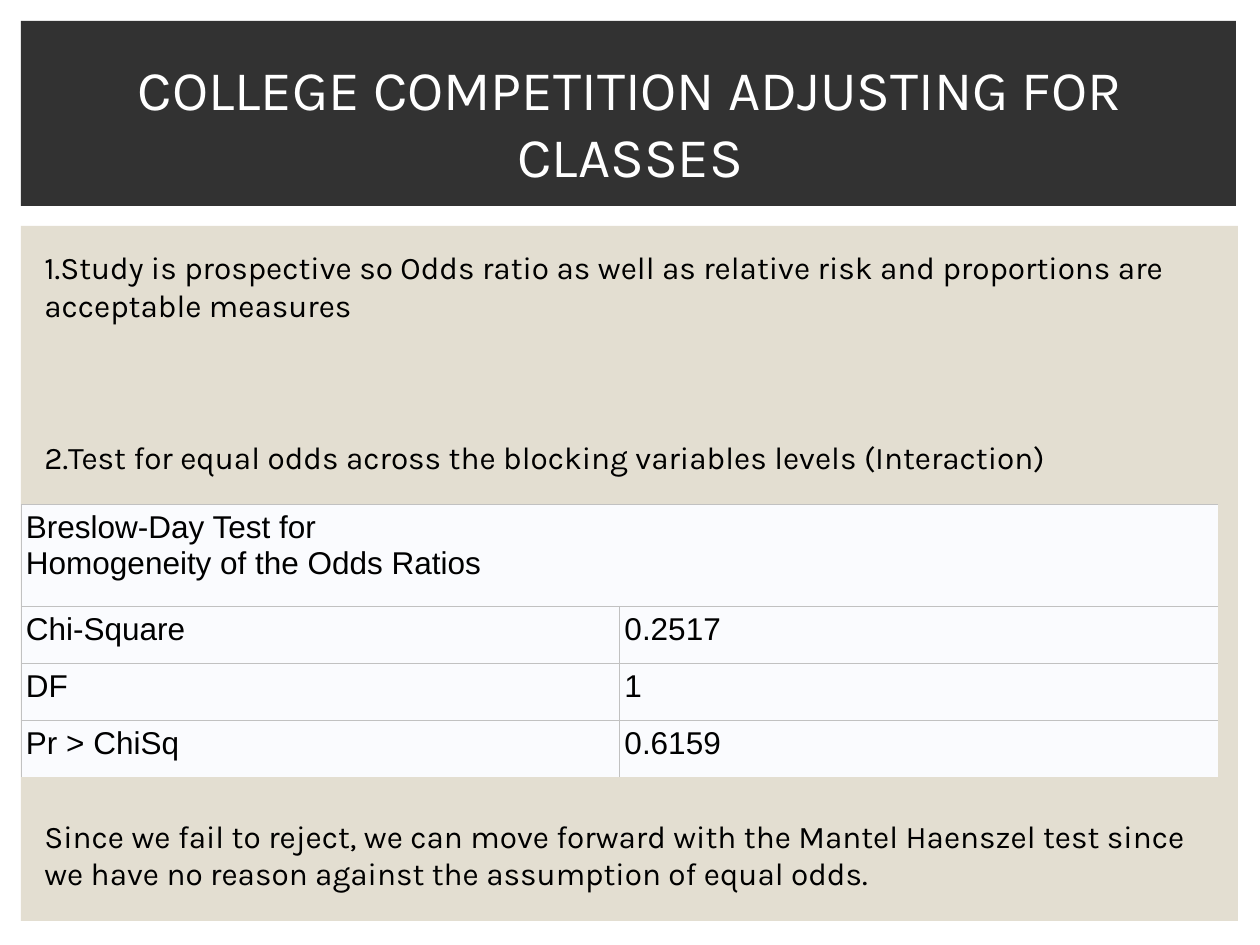
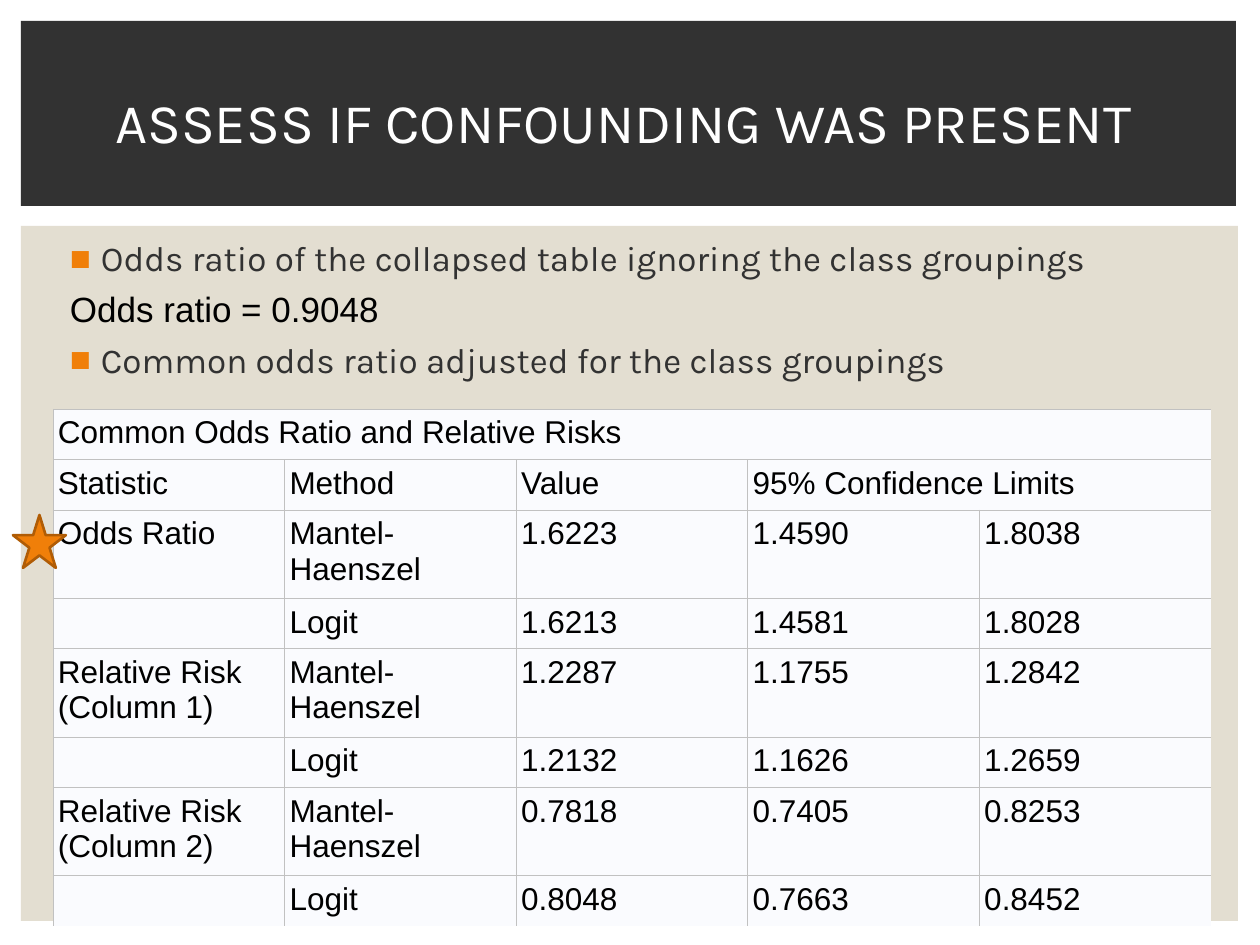
from lxml import etree
from pptx import Presentation
from pptx.dml.color import RGBColor
from pptx.enum.shapes import MSO_SHAPE
from pptx.enum.text import MSO_ANCHOR, PP_ALIGN
from pptx.oxml.ns import qn
from pptx.util import Inches, Pt

PX = 914400 / 126
RECTANGLE = MSO_SHAPE.RECTANGLE
STAR = MSO_SHAPE.STAR_5_POINT
MIDDLE = MSO_ANCHOR.MIDDLE
LEFT = PP_ALIGN.LEFT
CENTER = PP_ALIGN.CENTER

WHITE = RGBColor(0xFF, 0xFF, 0xFF)
BLACK = RGBColor(0x00, 0x00, 0x00)
CHARCOAL = RGBColor(0x32, 0x32, 0x32)
SAND = RGBColor(0xE3, 0xDE, 0xD1)
ORANGE = RGBColor(0xF0, 0x7F, 0x09)
BROWN = RGBColor(0xB0, 0x5C, 0x05)
CELL_FILL = RGBColor(0xFA, 0xFB, 0xFE)
CELL_LINE = RGBColor(0xC1, 0xC1, 0xC1)


def write(frame, text, size=18, font="Karla", color=BLACK, align=LEFT,
          before=0, margin=0, indent=0, bullet=None, start=None):
    para = frame.paragraphs[0]
    if para.runs:
        para = frame.add_paragraph()
    para.alignment = align
    para.space_before = Pt(before)
    props = para._p.get_or_add_pPr()
    props.set("marL", str(round(margin * PX)))
    props.set("indent", str(round(indent * PX)))
    if bullet:
        tint = etree.SubElement(props, qn("a:buClr"))
        etree.SubElement(tint, qn("a:srgbClr"), val=str(ORANGE))
        etree.SubElement(props, qn("a:buFont"), typeface="Arial")
        etree.SubElement(props, qn("a:buChar"), char=bullet)
    elif start:
        etree.SubElement(props, qn("a:buAutoNum"), type="arabicPeriod", startAt=str(start))
    else:
        etree.SubElement(props, qn("a:buNone"))
    for number, line in enumerate(text.splitlines()):
        if number:
            para.add_line_break()
        span = para.add_run()
        span.text = line
        span.font.size = Pt(size)
        span.font.name = font
        span.font.color.rgb = color


def add_grid(page, left, top, width, heights, rows, merges):
    columns = len(rows[0])
    table = page.shapes.add_table(
        len(rows), columns, round(left * PX), round(top * PX),
        round(width * PX), round(sum(heights) * PX)).table
    table.first_row = False
    table.horz_banding = False
    for column in table.columns:
        column.width = round(width * PX / columns)
    for row, height in zip(table.rows, heights):
        row.height = round(height * PX)
    for r, first, last in merges:
        table.cell(r, first).merge(table.cell(r, last))
    for r, texts in enumerate(rows):
        for c, text in enumerate(texts):
            cell = table.cell(r, c)
            cell.margin_left = cell.margin_right = Inches(0.04)
            cell.margin_top = cell.margin_bottom = Inches(0.05)
            cell.fill.solid()
            cell.fill.fore_color.rgb = CELL_FILL
            write(cell.text_frame, text, font="Arial")
            if not text:
                cell.text_frame.paragraphs[0].font.size = Pt(18)
            reach = cell.span_width if cell.is_merge_origin else 1
            drawn = {"a:lnL": True, "a:lnR": c + reach < columns,
                     "a:lnT": True, "a:lnB": r + 1 < len(rows)}
            props = cell._tc.get_or_add_tcPr()
            for position, (side, visible) in enumerate(drawn.items()):
                edge = etree.Element(qn(side), w="3600")
                if visible:
                    paint = etree.SubElement(edge, qn("a:solidFill"))
                    etree.SubElement(paint, qn("a:srgbClr"), val=str(CELL_LINE))
                else:
                    etree.SubElement(edge, qn("a:noFill"))
                props.insert(position, edge)


deck = Presentation()
deck.slide_width = Inches(10)
deck.slide_height = Inches(7.5)

BANDS = [((21, 226, 1217, 695), SAND), ((21, 21, 1215, 185), CHARCOAL)]
TITLES = ["COLLEGE COMPETITION ADJUSTING FOR CLASSES", "ASSESS IF CONFOUNDING WAS PRESENT "]
pages = []
for title in TITLES:
    page = deck.slides.add_slide(deck.slide_layouts[6])
    for area, color in BANDS:
        band = page.shapes.add_shape(RECTANGLE, *[round(n * PX) for n in area])
        band.shadow.inherit = False
        band.fill.solid()
        band.fill.fore_color.rgb = color
        band.line.fill.background()
    title_box = page.shapes.add_textbox(*[round(n * PX) for n in (53, 49, 1155, 145)])
    title_box.text_frame.word_wrap = True
    title_box.text_frame.vertical_anchor = MIDDLE
    write(title_box.text_frame, title, size=32, color=WHITE, align=CENTER)
    pages.append(page)

homogeneity_page, confounding_page = pages

BRESLOW_DAY = [
    ["""Breslow-Day Test for
Homogeneity of the Odds Ratios""", ""],
    ["Chi-Square", "0.2517"],
    ["DF", "1"],
    ["Pr > ChiSq", "0.6159"],
]
add_grid(homogeneity_page, 21, 504, 1197, [102, 57, 57, 57], BRESLOW_DAY, [(0, 0, 1)])

steps_box = homogeneity_page.shapes.add_textbox(*[round(n * PX) for n in (32, 242, 1197, 700)])
steps = steps_box.text_frame
steps.word_wrap = True
write(steps, "1.Study is prospective so Odds ratio as well as relative risk and "
             "proportions are acceptable measures")
write(steps, "Test for equal odds across the blocking variables levels (Interaction)",
      before=65, start=2)
write(steps, "Since we fail to reject, we can move forward with the Mantel Haenszel test "
             "since we have no reason against the assumption of equal odds.", before=195)

ratios_box = confounding_page.shapes.add_textbox(*[round(n * PX) for n in (53, 237, 1158, 607)])
ratios = ratios_box.text_frame
ratios.word_wrap = True
ratios.margin_left = round(10 * PX)
ratios.margin_top = 0
ODDS_LINES = [
    ("Odds ratio of the collapsed table ignoring the class groupings", "Karla", CHARCOAL, "■"),
    ("Odds ratio = 0.9048", "Arial", BLACK, None),
    ("Common odds ratio adjusted for the class groupings", "Karla", CHARCOAL, "■"),
]
for text, font, color, bullet in ODDS_LINES:
    write(ratios, text, size=20, font=font, color=color, before=5,
          margin=38, indent=-31, bullet=bullet)

COMMON_ODDS = [
    ["Common Odds Ratio and Relative Risks", "", "", "", ""],
    ["Statistic", "Method", "Value", "95% Confidence Limits", ""],
    ["Odds Ratio", "Mantel-Haenszel", "1.6223", "1.4590", "1.8038"],
    ["", "Logit", "1.6213", "1.4581", "1.8028"],
    ["Relative Risk (Column 1)", "Mantel-Haenszel", "1.2287", "1.1755", "1.2842"],
    ["", "Logit", "1.2132", "1.1626", "1.2659"],
    ["Relative Risk (Column 2)", "Mantel-Haenszel", "0.7818", "0.7405", "0.8253"],
    ["", "Logit", "0.8048", "0.7663", "0.8452"],
]
add_grid(confounding_page, 53, 409, 1158, [48, 48] + [86, 48] * 3, COMMON_ODDS,
         [(0, 0, 4), (1, 3, 4)])

star = confounding_page.shapes.add_shape(STAR, *[round(n * PX) for n in (13, 515, 53, 53)])
star.shadow.inherit = False
star.fill.solid()
star.fill.fore_color.rgb = ORANGE
star.line.color.rgb = BROWN
star.line.width = Pt(1.5)

deck.save("out.pptx")
